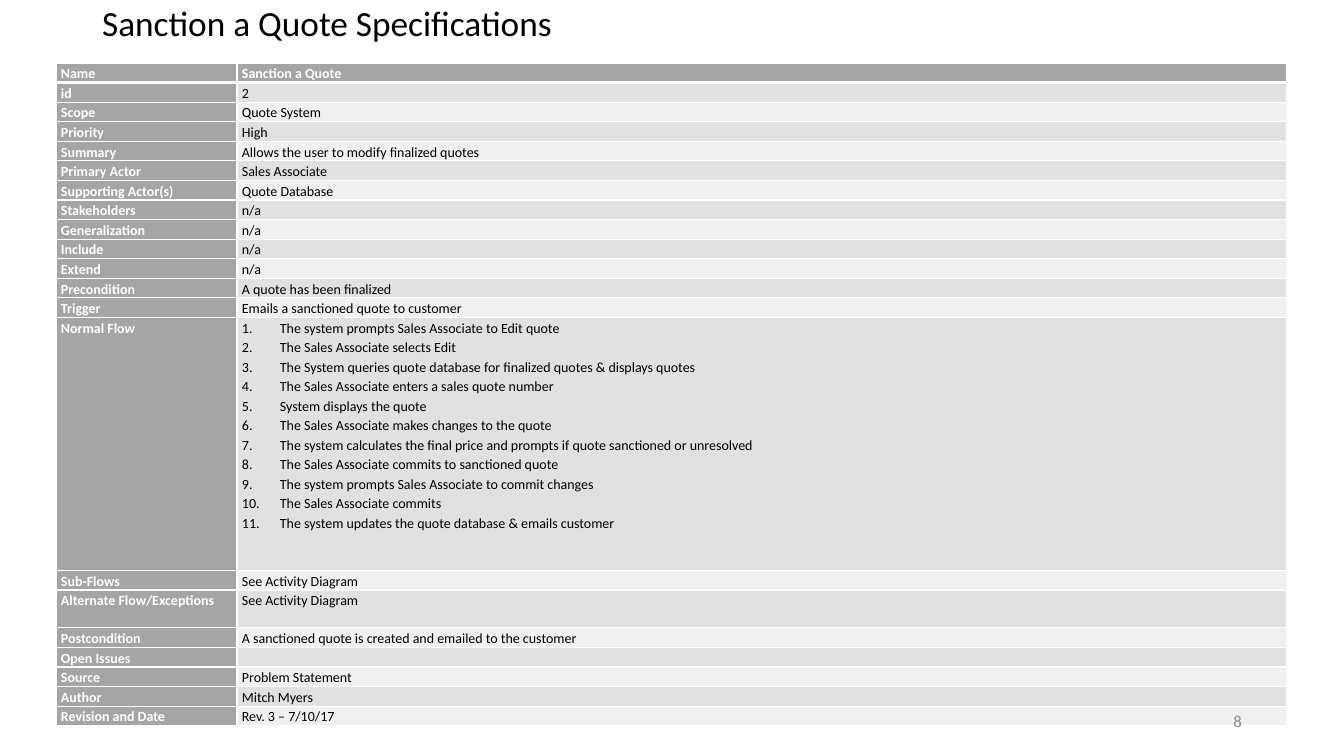
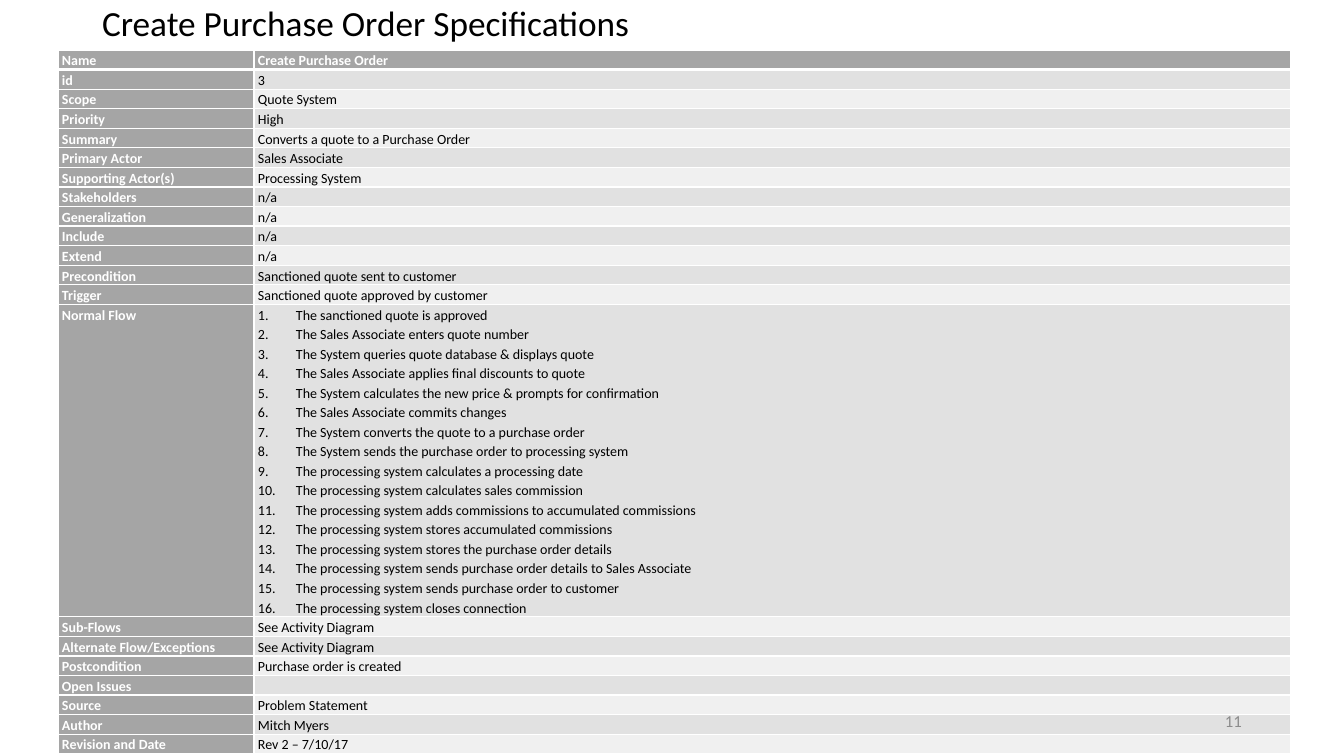
import pptx
import pptx.util
import pptx.dml.color
import pptx.enum.text
import pptx.oxml
import pptx.oxml.ns
import lxml.etree

COLORS = {"label": "A5A5A5", "odd": "E1E1E1", "even": "F0F0F0",
          "white": "FFFFFF", "text": "000000", "number": "8C8C8C"}
FONT = "Calibri"
EMU_PER_PX = 914400 / 100.8
LABELS = ["Name", "id", "Scope", "Priority", "Summary", "Primary Actor",
          "Supporting Actor(s)", "Stakeholders", "Generalization", "Include",
          "Extend", "Precondition", "Trigger", "Normal Flow", "Sub-Flows",
          "Alternate Flow/Exceptions", "Postcondition", "Open Issues",
          "Source", "Author", "Revision and Date"]
ROW_HEIGHT = 18


def px(n):
    """Turn picture pixels into EMU."""
    return pptx.util.Emu(round(n * EMU_PER_PX))


def rgb(name):
    """Look up a named colour."""
    return pptx.dml.color.RGBColor.from_string(COLORS[name])


class Deck:
    """Holds the shared style and the current slide."""

    def __init__(self):
        """Start a wide presentation."""
        self.prs = pptx.Presentation()
        self.prs.slide_width, self.prs.slide_height = px(1344), px(756)
        self.s = None

    def font(self, p, size, color, bold=False):
        """Format the font of a whole paragraph."""
        p.font.name = FONT
        p.font.size = pptx.util.Pt(size)
        p.font.bold = bold
        p.font.color.rgb = rgb(color)

    def slide(self, title):
        """Add a slide with its title."""
        self.s = self.prs.slides.add_slide(self.prs.slide_layouts[5])
        sp = self.s.shapes.title
        sp.left, sp.top, sp.width, sp.height = px(92), px(0), px(1159), px(50)
        p = self.text(sp, title, 25.2, "text", pptx.enum.text.PP_ALIGN.LEFT)
        p.line_spacing = 0.9

    def page_number(self, number):
        """Add the page number in front of what the slide holds so far."""
        sp = self.s.shapes.add_textbox(px(950), px(701), px(302), px(40))
        self.text(sp, str(number), 12, "number", pptx.enum.text.PP_ALIGN.RIGHT)

    def text(self, sp, text, size, color, align):
        """Write one vertically centred line in a shape."""
        tf = sp.text_frame
        tf.word_wrap = True
        tf.auto_size = pptx.enum.text.MSO_AUTO_SIZE.NONE
        tf.vertical_anchor = pptx.enum.text.MSO_ANCHOR.MIDDLE
        tf.text = text
        p = tf.paragraphs[0]
        p.alignment = align
        self.font(p, size, color)
        return p

    def borders(self, cell, top, bottom):
        """Draw white cell borders, widths in points."""
        tcPr = cell._tc.get_or_add_tcPr()
        sides = {"lnL": 1, "lnR": 1, "lnT": top, "lnB": bottom}
        for i, (tag, width) in enumerate(sides.items()):
            tcPr.insert(i, pptx.oxml.parse_xml(
                f'<a:{tag} {pptx.oxml.ns.nsdecls("a")} w="{width * 12700}">'
                f'<a:solidFill><a:srgbClr val="{COLORS["white"]}"/></a:solidFill>'
                f'</a:{tag}>'))

    def number(self, p):
        """Give a paragraph an automatic number and a hanging indent."""
        pPr = p._p.get_or_add_pPr()
        pPr.set("marL", str(px(38)))
        pPr.set("indent", str(-px(38)))
        bullet = lxml.etree.Element(pptx.oxml.ns.qn("a:buAutoNum"), type="arabicPeriod")
        pPr.find(pptx.oxml.ns.qn("a:defRPr")).addprevious(bullet)

    def cell(self, cell, value, fill, color, bold, inset):
        """Fill a cell with a line of text or a list of numbered steps."""
        cell.fill.solid()
        cell.fill.fore_color.rgb = rgb(fill)
        cell.margin_left = cell.margin_right = px(inset)
        cell.margin_top = cell.margin_bottom = 0
        cell.vertical_anchor = pptx.enum.text.MSO_ANCHOR.TOP
        steps = isinstance(value, list)
        cell.text = "\n".join(value) if steps else value
        for p in cell.text_frame.paragraphs:
            p.line_spacing = 1.15
            self.font(p, 10, color, bold)
            if steps:
                self.number(p)
            if not p.runs:
                lxml.etree.SubElement(p._p, pptx.oxml.ns.qn("a:endParaRPr"), sz="1000")

    def specification(self, left, top, widths, inset, values, heights):
        """Add the table of labels and values; heights names the taller rows."""
        row_heights = [heights.get(label, ROW_HEIGHT) for label in LABELS]
        frame = self.s.shapes.add_table(len(LABELS), 2, px(left), px(top),
                                        px(sum(widths)), px(sum(row_heights)))
        table = frame.table
        for column, width in zip(table.columns, widths):
            column.width = px(width)
        for i, (label, value) in enumerate(zip(LABELS, values)):
            table.rows[i].height = px(row_heights[i])
            head, body = table.cell(i, 0), table.cell(i, 1)
            self.cell(head, label, "label", "white", True, inset)
            if i == 0:
                self.cell(body, value, "label", "white", True, inset)
            else:
                self.cell(body, value, "odd" if i % 2 else "even", "text", False, inset)
            for cell in (head, body):
                self.borders(cell, 3 if i == 1 else 1, 3 if i == 0 else 1)


SANCTION_STEPS = [
    "The system prompts Sales Associate to Edit quote",
    "The Sales Associate selects Edit",
    "The System queries quote database for finalized quotes & displays quotes",
    "The Sales Associate enters a sales quote number",
    "System displays the quote",
    "The Sales Associate makes changes to the quote",
    "The system calculates the final price and prompts if quote sanctioned or unresolved",
    "The Sales Associate commits to sanctioned quote",
    "The system prompts Sales Associate to commit changes",
    "The Sales Associate commits",
    "The system updates the quote database & emails customer"]
ORDER_STEPS = [
    "The sanctioned quote is approved",
    "The Sales Associate enters quote number",
    "The System queries quote database & displays quote",
    "The Sales Associate applies final discounts to quote",
    "The System calculates the new price & prompts for confirmation",
    "The Sales Associate commits changes",
    "The System converts the quote to a purchase order",
    "The System sends the purchase order to processing system",
    "The processing system calculates a processing date",
    "The processing system calculates sales commission",
    "The processing system adds commissions to accumulated commissions",
    "The processing system stores accumulated commissions",
    "The processing system stores the purchase order details",
    "The processing system sends purchase order details to Sales Associate",
    "The processing system sends purchase order to customer",
    "The processing system closes connection"]


def values(name, number, summary, support, precondition, trigger, steps, result, revision):
    """List a use case's values in label order, with the shared ones filled in."""
    return [name, number, "Quote System", "High", summary, "Sales Associate", support,
            *["n/a"] * 4, precondition, trigger, steps, *["See Activity Diagram"] * 2,
            result, "", "Problem Statement", "Mitch Myers", revision]


def sanction_quote(deck):
    """Build the slide on sanctioning a quote."""
    deck.slide("Sanction a Quote Specifications")
    deck.specification(56, 63, [181, 1050], 5, values(
        "Sanction a Quote", "2", "Allows the user to modify finalized quotes",
        "Quote Database", "A quote has been finalized",
        "Emails a sanctioned quote to customer", SANCTION_STEPS,
        "A sanctioned quote is created and emailed to the customer",
        "Rev. 3 – 7/10/17"), {"Normal Flow": 253, "Alternate Flow/Exceptions": 38})
    deck.page_number(8)


def create_order(deck):
    """Build the slide on creating a purchase order."""
    deck.slide("Create Purchase Order Specifications")
    deck.specification(58, 50, [196, 1037], 4, values(
        "Create Purchase Order", "3", "Converts a quote to a Purchase Order",
        "Processing System", "Sanctioned quote sent to customer",
        "Sanctioned quote approved by customer", ORDER_STEPS,
        "Purchase order is created", "Rev 2 – 7/10/17"), {"Normal Flow": 301})
    deck.page_number(11)


deck = Deck()
sanction_quote(deck)
create_order(deck)
deck.prs.save("out.pptx")
